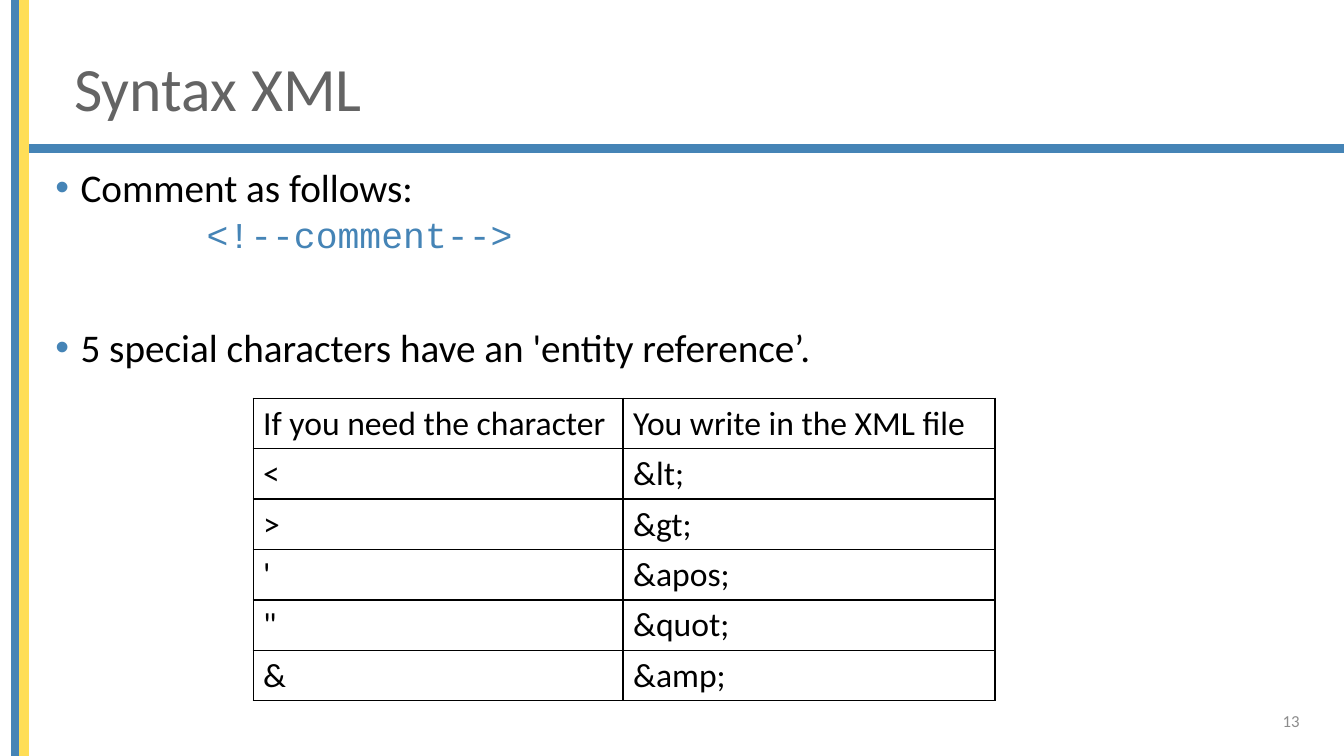
from lxml import etree
from pptx import Presentation, util as u
from pptx.dml.color import RGBColor
from pptx.enum import shapes, text
from pptx.oxml.ns import qn

BLUE, YELLOW, BLACK = "4584B6", "FFDE57", "000000"
TITLE_GREY, NUMBER_GREY = "646464", "8C8C8C"

ENTITIES = [
    ("If you need the character", "You write in the XML file"),
    ("<", "&lt;"),
    (">", "&gt;"),
    ("'", "&apos;"),
    ('"', "&quot;"),
    ("&", "&amp;"),
]


def rgb(value):
    return RGBColor.from_string(value)


def add_solid(parent, colour):
    fill = etree.SubElement(parent, qn("a:solidFill"))
    etree.SubElement(fill, qn("a:srgbClr")).set("val", colour)


def write(paragraph, words, size=28, font="Calibri", colour=BLACK, align=None,
          spacing=None, before=None, left=0, bullet=None):
    """Fill a paragraph; left is its indent in inches, bullet a colour."""
    run = paragraph.add_run()
    run.text = words
    run.font.size = u.Pt(size)
    run.font.name = font
    run.font.color.rgb = rgb(colour)
    paragraph.alignment = align
    paragraph.line_spacing = spacing
    if before is not None:
        paragraph.space_before = u.Pt(before)
    props = paragraph._p.get_or_add_pPr()
    props.set("marL", str(u.Inches(left)))
    props.set("indent", str(-u.Inches(left) if bullet else 0))
    if bullet:
        bullet_colour = etree.SubElement(props, qn("a:buClr"))
        etree.SubElement(bullet_colour, qn("a:srgbClr")).set("val", bullet)
        etree.SubElement(props, qn("a:buFont")).set("typeface", "Arial")
        etree.SubElement(props, qn("a:buChar")).set("char", "•")


class Deck:
    """Places elements by percentages of the slide's width and height."""

    def __init__(self):
        self.show = Presentation()
        self.show.slide_width = u.Inches(13.33)
        self.show.slide_height = u.Inches(7.5)
        self.slide = self.show.slides.add_slide(self.show.slide_layouts[6])

    def across(self, share):
        return round(self.show.slide_width * share / 100)

    def down(self, share):
        return round(self.show.slide_height * share / 100)

    def box(self, x, y, width, height):
        return self.across(x), self.down(y), self.across(width), self.down(height)

    def bar(self, colour, *place):
        stripe = self.slide.shapes.add_shape(
            shapes.MSO_SHAPE.RECTANGLE, *self.box(*place))
        stripe.shadow.inherit = False
        stripe.fill.solid()
        stripe.fill.fore_color.rgb = rgb(colour)
        stripe.line.color.rgb = rgb(colour)
        stripe.line.width = u.Pt(1)

    def text(self, place, paragraphs, anchor=text.MSO_ANCHOR.MIDDLE):
        """Add a text box from (words, format) pairs."""
        frame = self.slide.shapes.add_textbox(*self.box(*place)).text_frame
        frame.word_wrap = True
        frame.vertical_anchor = anchor
        for index, (words, style) in enumerate(paragraphs):
            paragraph = frame.add_paragraph() if index else frame.paragraphs[0]
            write(paragraph, words, **style)

    def table(self, place, widths, rows, size):
        table = self.slide.shapes.add_table(
            len(rows), len(widths), *self.box(*place)).table
        table.first_row = table.horz_banding = False
        for column, width in zip(table.columns, widths):
            column.width = self.across(width)
        for r, row in enumerate(rows):
            for c, words in enumerate(row):
                cell = table.cell(r, c)
                write(cell.text_frame.paragraphs[0], words, size=size)
                self.outline(cell)
                cell.fill.background()

    def outline(self, cell):
        props = cell._tc.get_or_add_tcPr()
        for side in ("lnL", "lnR", "lnT", "lnB"):
            edge = etree.SubElement(props, qn(f"a:{side}"))
            edge.set("w", str(u.Pt(1)))
            add_solid(edge, BLACK)


def main():
    deck = Deck()
    deck.bar(BLUE, 1.4, 19.13, 98.6, 1.07)
    deck.bar(BLUE, 0.9, 0, 0.6, 100)
    deck.bar(YELLOW, 1.5, 0, 0.6, 100)

    point = dict(spacing=0.9, left=0.25, bullet=BLUE)
    deck.text((3.38, 21.6, 93.15, 75.2), [
        ("Comment as follows:", dict(point, before=10)),
        ("<!--comment-->", dict(size=26, font="Courier New", colour=BLUE,
                                spacing=0.9, before=5, left=1.5)),
        ("5 special characters have an 'entity reference’.",
         dict(point, before=51)),
    ], anchor=text.MSO_ANCHOR.TOP)

    deck.text((74.93, 92.67, 22.5, 5.33), [
        ("13", dict(size=12, colour=NUMBER_GREY, align=text.PP_ALIGN.RIGHT))])
    deck.text((4.8, 5.33, 88.35, 13.47), [
        ("Syntax XML", dict(size=44, colour=TITLE_GREY, spacing=0.9))])
    deck.table((18.83, 52.67, 55.21, 40), (27.53, 27.68), ENTITIES, size=24)
    deck.show.save("out.pptx")


if __name__ == "__main__":
    main()
